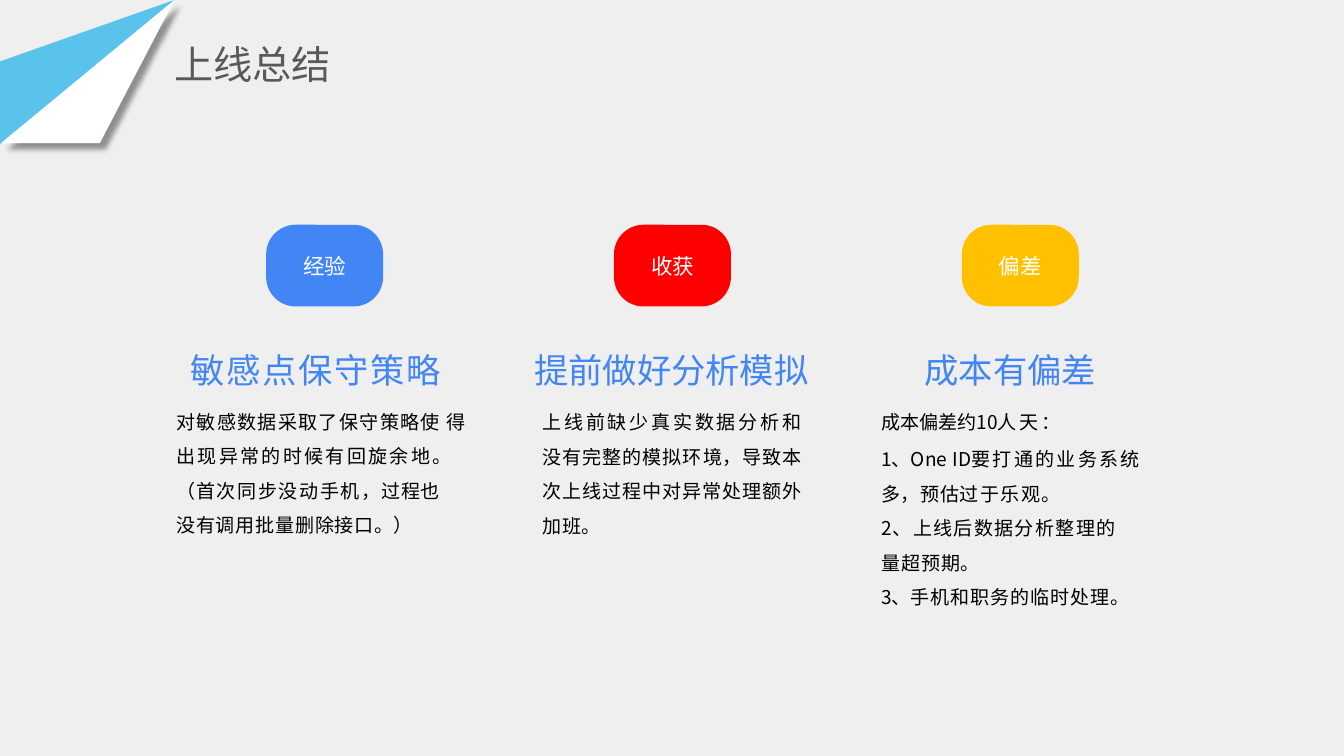
from lxml import etree
from pptx import Presentation
from pptx.dml.color import RGBColor
from pptx.enum.shapes import MSO_SHAPE
from pptx.enum.text import MSO_ANCHOR, PP_ALIGN
from pptx.oxml.ns import qn
from pptx.util import Inches, Pt

ROUNDED = MSO_SHAPE.ROUNDED_RECTANGLE
MIDDLE = MSO_ANCHOR.MIDDLE
LEFT, CENTER, JUSTIFY = PP_ALIGN.LEFT, PP_ALIGN.CENTER, PP_ALIGN.JUSTIFY

FONT = "Noto Sans CJK SC"
BLUE, RED, AMBER = "4285F4", "FF0000", "FFC000"
SKY, WHITE, BLACK, GREY, BACKGROUND = "59C3EB", "FFFFFF", "000000", "58595B", "EFEFEF"
HEADING_SIZE, BODY_SIZE = 24.5, 13.6
HEADING_PITCH, BODY_PITCH = 30.8, 24.7
COLUMN_TOP = 3.44
BUTTON_LEFT, BUTTON_TOP, BUTTON_STEP = 2.64, 2.23, 3.45

BUTTONS = [("经验", BLUE), ("收获", RED), ("偏差", AMBER)]

COLUMNS = [
    {
        "box": (1.74, 2.96, 1.9),
        "heading": {"runs": [("敏感点保守策略", 1.3)], "align": CENTER, "right": 0.18},
        "body": [
            {"runs": [("对敏感数据采取了保守策略", 1), ("使 ", 0.8),
                      ("得出现异常的时候有回旋余地", 1.7), ("。", 0)], "before": 6},
            {"runs": [("（", 0.6), ("首次同步没动手机", 1.2), ("，过程也", 0.6)]},
            {"runs": [("没有调用批量删除接口", 0.6), ("。", 0.1), ("）", 0)]},
        ],
    },
    {
        "box": (5.29, 2.75, 1.86),
        "heading": {"runs": [("提前做好分析模拟", 0)], "left": 0.01},
        "body": [
            {"runs": [("上线前缺少真实数据分析和没", 0.9), ("有完整的模拟环", 0.6), ("境", 0.5),
                      ("，导致本次上线过程中对异常处理额外加", 0.6), ("班", 0.1), ("。", 0)],
             "align": JUSTIFY, "left": 0.09, "right": 0.08, "before": 6.5},
        ],
    },
    {
        "box": (8.73, 2.77, 2.62),
        "heading": {"runs": [("成本有偏差", 0)], "left": 0.44},
        "body": [
            {"runs": [("成本偏差约", 0.1), ("10", 0), ("人天：", 2)], "before": 6.5},
            {"runs": [("1、One ", 0.1), ("ID", 0.3), ("要打通的业务系统", 1.7),
                      ("多，预估", 0.5), ("过于乐观", 1), ("。", 0)], "before": 1.7},
            {"runs": [("2、", 0.9), ("上线后数据分析整理的量超", 1), ("预期", 0.1), ("。", 0)],
             "right": 0.3},
            {"runs": [("3、", 0), ("手机和职务的临时处理", 0.7), ("。", 0)]},
        ],
    },
]


def color(value):
    """Turn a hex string into a colour."""
    return RGBColor.from_string(value)


def paint(shape, fill):
    """Give a shape a plain fill with no line and no shadow."""
    shape.fill.solid()
    shape.fill.fore_color.rgb = color(fill)
    shape.line.fill.background()
    shape.shadow.inherit = False


def add_run(paragraph, text, size, fill, spacing=0):
    """Add one run with its font, size, colour and letter spacing in points."""
    run = paragraph.add_run()
    run.text = text
    run.font.name = FONT
    run.font.size = Pt(size)
    run.font.color.rgb = color(fill)
    properties = run.font._element
    properties.set("spc", str(round(spacing * 100)))
    etree.SubElement(properties, qn("a:ea"), typeface=FONT)


def set_margins(frame, margin):
    """Set all four insets of a text frame."""
    frame.margin_left = frame.margin_right = Inches(margin)
    frame.margin_top = frame.margin_bottom = Inches(margin)


def write_paragraph(paragraph, size, fill, pitch, runs, align=LEFT, left=0.01, right=0, before=0):
    """Write a paragraph with fixed line pitch and side indents."""
    paragraph.alignment = align
    paragraph.line_spacing = Pt(pitch)
    paragraph.space_before = Pt(before)
    properties = paragraph._p.get_or_add_pPr()
    properties.set("marL", str(Inches(left)))
    properties.set("marR", str(Inches(right)))
    properties.set("indent", "0")
    for text, spacing in runs:
        add_run(paragraph, text, size, fill, spacing)


def add_title(slide, text):
    """Place and format the title placeholder."""
    title = slide.shapes.title
    title.left, title.top = Inches(1.63), Inches(0.35)
    title.width, title.height = Inches(7.23), Inches(0.57)
    title.text_frame.vertical_anchor = MIDDLE
    paragraph = title.text_frame.paragraphs[0]
    paragraph.alignment = LEFT
    add_run(paragraph, text, 28, GREY)


def add_triangle(slide, points, fill):
    """Draw a filled triangle through three points in inches."""
    corners = [(Inches(x), Inches(y)) for x, y in points]
    builder = slide.shapes.build_freeform(*corners[0])
    builder.add_line_segments(corners[1:], close=True)
    triangle = builder.convert_to_shape()
    paint(triangle, fill)
    return triangle


def add_shadow(shape):
    """Cast a soft shadow down and to the right."""
    effects = shape._element.spPr.find(qn("a:effectLst"))
    shadow = etree.SubElement(effects, qn("a:outerShdw"), blurRad=str(Pt(4)), dist=str(Pt(6)),
                              dir="2700000", algn="tl", rotWithShape="0")
    tint = etree.SubElement(shadow, qn("a:srgbClr"), val=BLACK)
    etree.SubElement(tint, qn("a:alpha"), val="40000")


def add_button(slide, left, label, fill):
    """Draw a rounded button with its label."""
    button = slide.shapes.add_shape(ROUNDED, Inches(left), Inches(BUTTON_TOP),
                                    Inches(1.16), Inches(0.81))
    button.adjustments[0] = 0.36
    paint(button, fill)
    set_margins(button.text_frame, 0)
    button.text_frame.vertical_anchor = MIDDLE
    paragraph = button.text_frame.paragraphs[0]
    paragraph.alignment = CENTER
    add_run(paragraph, label, 15.4, WHITE, -0.1)


def add_column(slide, box, heading, body):
    """Add a text box with a blue heading above body paragraphs."""
    left, width, height = box
    textbox = slide.shapes.add_textbox(Inches(left), Inches(COLUMN_TOP),
                                       Inches(width), Inches(height))
    frame = textbox.text_frame
    frame.word_wrap = True
    set_margins(frame, 0)
    write_paragraph(frame.paragraphs[0], HEADING_SIZE, BLUE, HEADING_PITCH, **heading)
    for content in body:
        write_paragraph(frame.add_paragraph(), BODY_SIZE, BLACK, BODY_PITCH, **content)


def main():
    """Build the slide and save it."""
    presentation = Presentation()
    presentation.slide_width, presentation.slide_height = Inches(13.33), Inches(7.5)
    slide = presentation.slides.add_slide(presentation.slide_layouts[5])
    slide.background.fill.solid()
    slide.background.fill.fore_color.rgb = color(BACKGROUND)
    add_title(slide, "上线总结")
    add_triangle(slide, [(0, 0.61), (0, 1.43), (1.73, 0)], SKY)
    add_shadow(add_triangle(slide, [(0.01, 1.42), (0.99, 1.42), (1.73, 0)], WHITE))
    for index, (label, fill) in enumerate(BUTTONS):
        add_button(slide, BUTTON_LEFT + index * BUTTON_STEP, label, fill)
    for column in COLUMNS:
        add_column(slide, **column)
    presentation.save("out.pptx")


if __name__ == "__main__":
    main()
